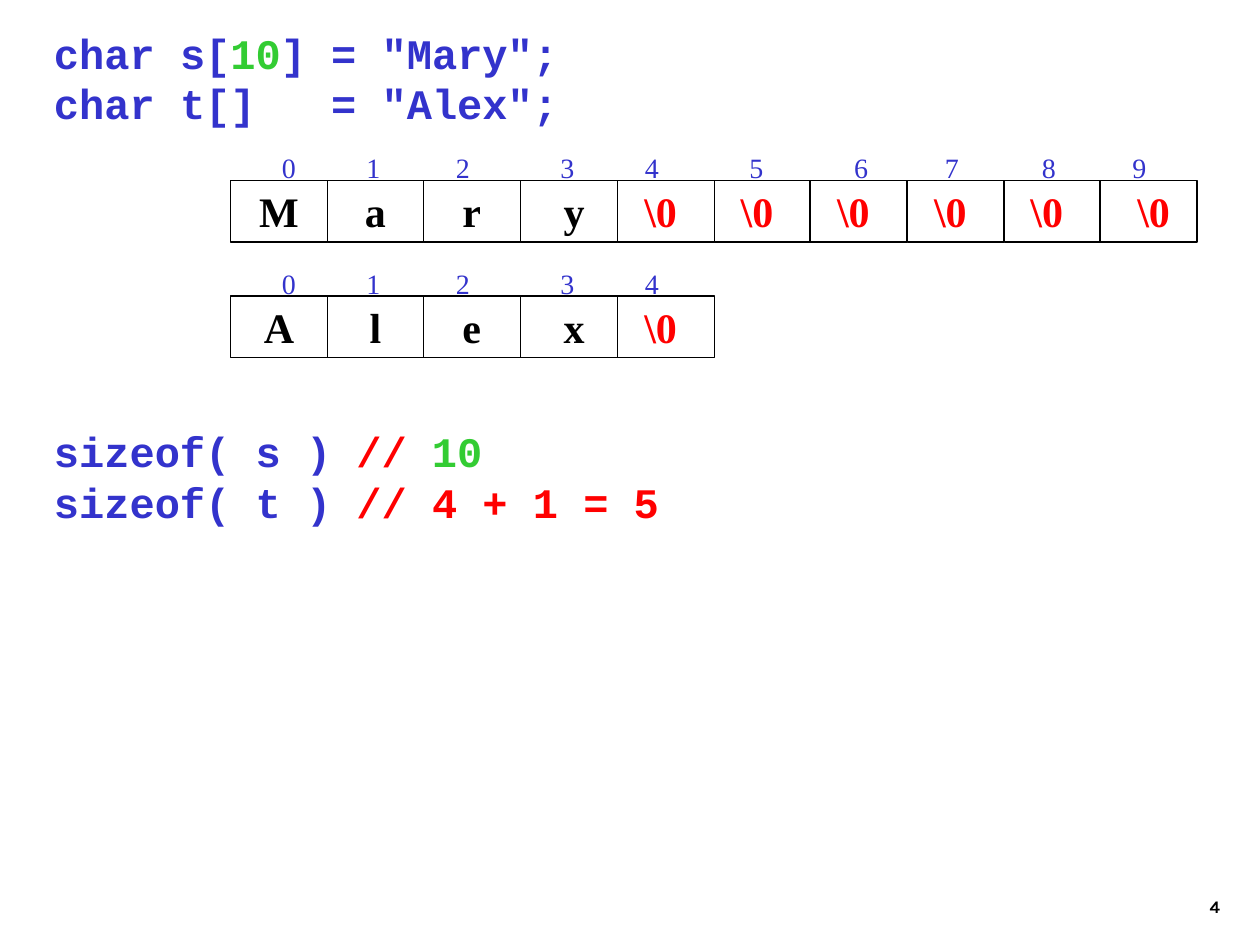
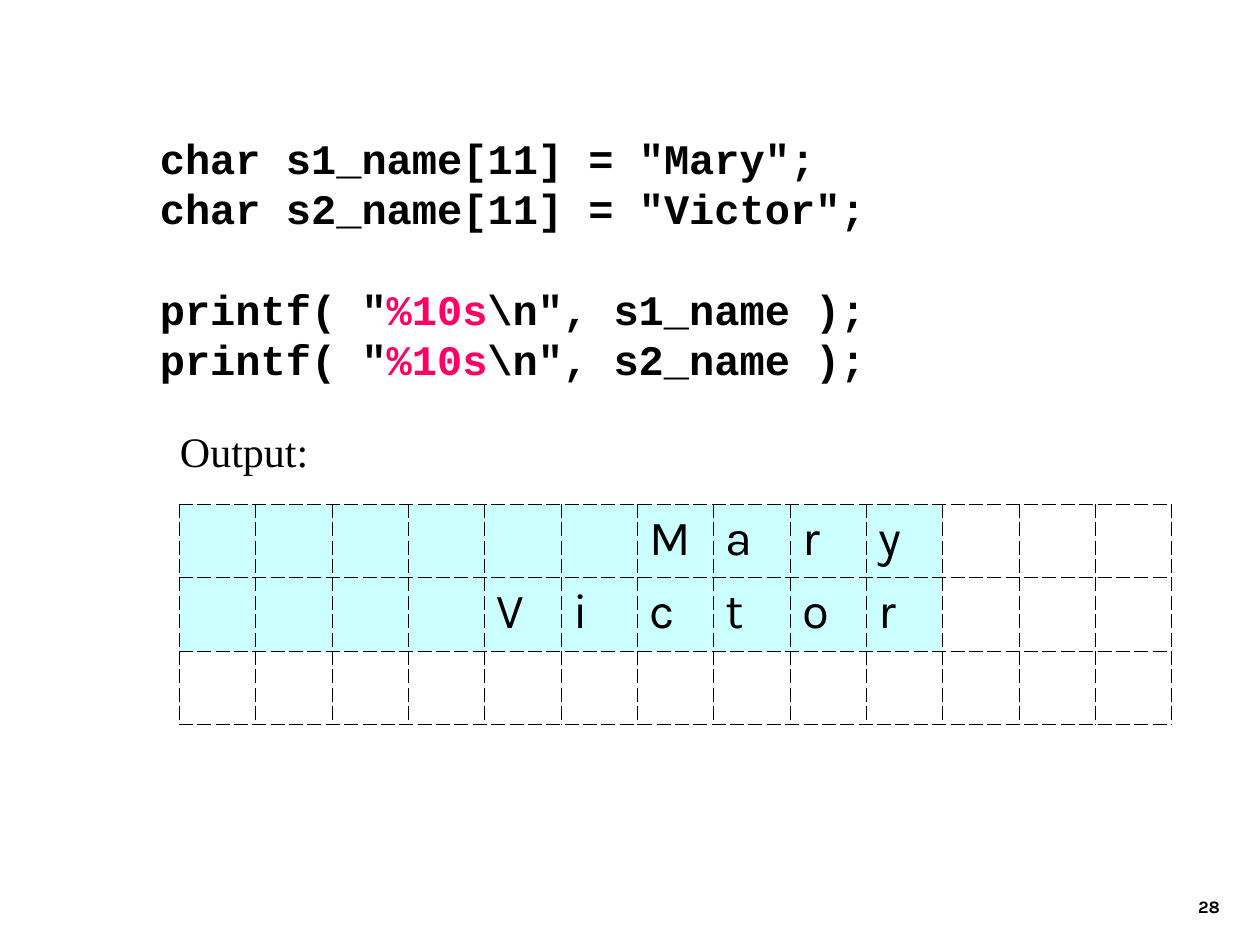
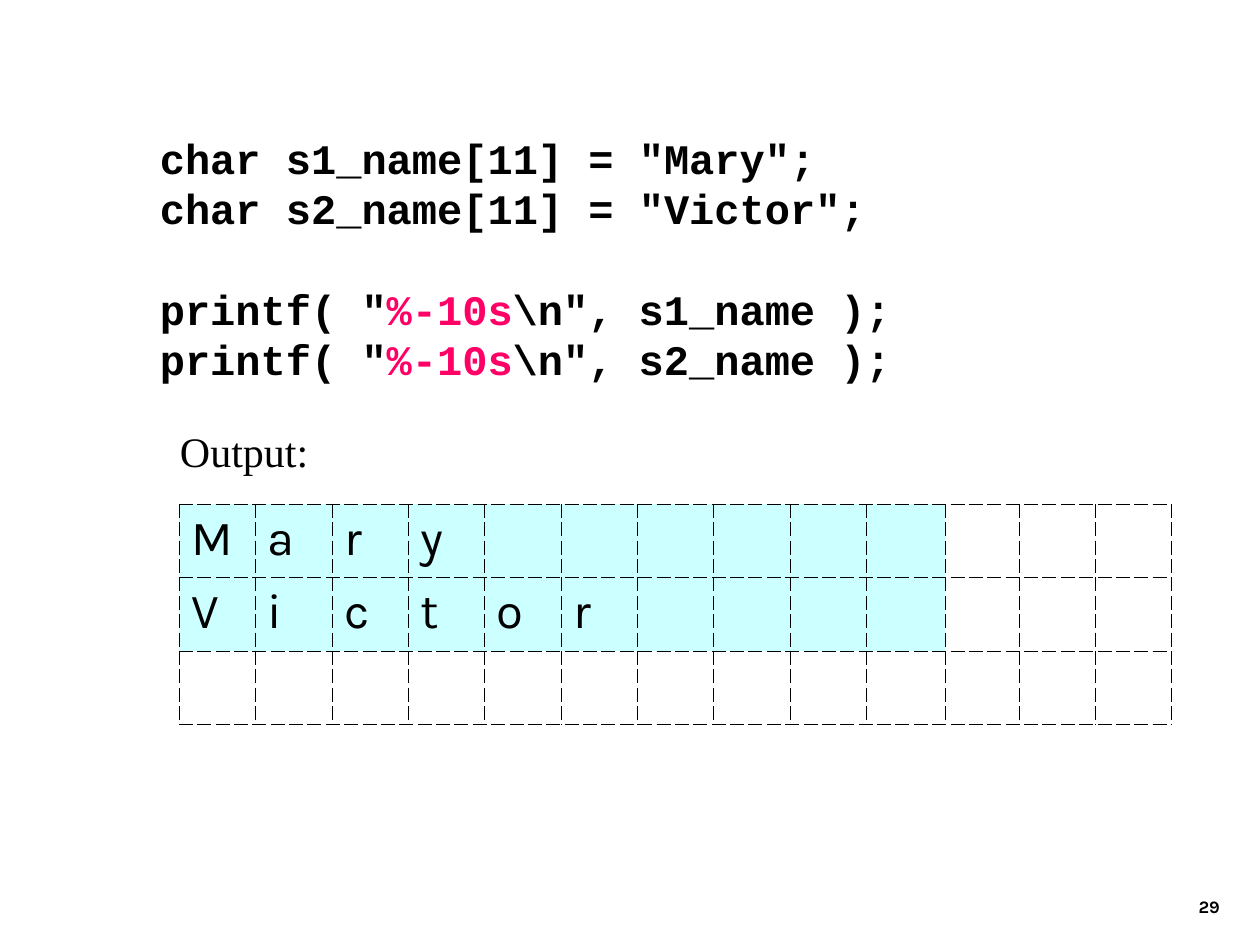
from dataclasses import dataclass

from lxml import etree
from pptx import Presentation
from pptx.dml.color import RGBColor
from pptx.enum.shapes import MSO_SHAPE
from pptx.enum.text import MSO_ANCHOR, MSO_AUTO_SIZE, PP_ALIGN
from pptx.oxml.ns import qn
from pptx.util import Pt

PX = 9144  # EMU in one px, 100 px to the inch

BLACK = RGBColor(0x00, 0x00, 0x00)
BLUE = RGBColor(0x33, 0x33, 0xCC)
GREEN = RGBColor(0x33, 0xCC, 0x33)
RED = RGBColor(0xFF, 0x00, 0x00)
PINK = RGBColor(0xFF, 0x00, 0x66)
CYAN = RGBColor(0xCC, 0xFF, 0xFF)

LEFT, CENTER, RIGHT = PP_ALIGN.LEFT, PP_ALIGN.CENTER, PP_ALIGN.RIGHT
TOP, MIDDLE, BOTTOM = MSO_ANCHOR.TOP, MSO_ANCHOR.MIDDLE, MSO_ANCHOR.BOTTOM
GROW, FIXED = MSO_AUTO_SIZE.SHAPE_TO_FIT_TEXT, MSO_AUTO_SIZE.NONE
RECTANGLE = MSO_SHAPE.RECTANGLE

CODE = {"name": "Courier New", "size": Pt(24), "bold": True}
LETTER = {"name": "Times New Roman", "size": Pt(24), "bold": True}
INDEX = {"name": "Times New Roman", "size": Pt(16), "bold": False}
LABEL = {"name": "Times New Roman", "size": Pt(24), "bold": False}
OUTPUT = {"name": "Karla", "size": Pt(28), "bold": False}
NUMBER = {"name": "Karla", "size": Pt(10), "bold": True}

CODE_LINE = 28.8
EQUALS_STOP = 220
INDEX_STOPS = (31, 98, 169, 252, 319, 402, 485, 557, 634, 706)
ARRAY_LEFT, ARRAY_WIDTH, ARRAY_SLOTS = 183, 767, 10
OUTPUT_COLUMNS, OUTPUT_ROWS, FIELD_WIDTH = 13, 3, 10


@dataclass(frozen=True)
class Area:
    left: int
    top: int
    width: int
    height: int

    def emu(self) -> tuple[int, int, int, int]:
        return self.left * PX, self.top * PX, self.width * PX, self.height * PX


@dataclass(frozen=True)
class Span:
    text: str
    color: RGBColor = BLACK


@dataclass(frozen=True)
class Para:
    spans: tuple[Span, ...]
    align: PP_ALIGN = LEFT
    space_before: float = 0
    stops: tuple[int, ...] = ()


@dataclass(frozen=True)
class CharArray:
    top: int
    letters: tuple[str, ...]


@dataclass(frozen=True)
class PrintfPage:
    number: str
    specifier: str
    rows: tuple[str, ...]
    field_edge_shift: int = 0


def set_values(target, values: dict) -> None:
    for name, value in values.items():
        setattr(target, name, value)


def write(frame, paras: list[Para], style: dict) -> None:
    for position, para in enumerate(paras):
        line = frame.add_paragraph() if position else frame.paragraphs[0]
        set_values(line, {"alignment": para.align, "space_before": Pt(para.space_before)})
        if para.stops:
            tabs = etree.SubElement(line._p.get_or_add_pPr(), qn("a:tabLst"))
            for stop in para.stops:
                etree.SubElement(tabs, qn("a:tab"), pos=str(stop * PX), algn="l")
        for span in para.spans:
            run = line.add_run()
            run.text = span.text
            set_values(run.font, style)
            run.font.color.rgb = span.color


def add_text(shapes, area: Area, paras: list[Para], style: dict,
             anchor: MSO_ANCHOR = TOP, auto_size: MSO_AUTO_SIZE = GROW) -> None:
    frame = shapes.add_textbox(*area.emu()).text_frame
    set_values(frame, {"word_wrap": True, "vertical_anchor": anchor, "auto_size": auto_size})
    write(frame, paras, style)


def add_page(deck, number: str):
    """Add a blank slide with its number in the lower right corner."""
    page = deck.slides.add_slide(deck.slide_layouts[6])
    add_text(page.shapes, Area(770, 683, 208, 50), [Para((Span(number),), RIGHT)],
             NUMBER, BOTTOM, FIXED)
    return page


def add_char_array(page, array: CharArray) -> None:
    """Draw a row of boxes with one character each, under their indexes."""
    shapes = page.shapes.add_group_shape().shapes
    count = len(array.letters)
    indexes = "".join(f"\t{index}" for index in range(count))
    add_text(shapes, Area(ARRAY_LEFT, array.top - 35, ARRAY_WIDTH, 49),
             [Para((Span(indexes, BLUE),), stops=INDEX_STOPS[:count])], INDEX, MIDDLE, FIXED)
    edges = [ARRAY_LEFT + round(slot * ARRAY_WIDTH / ARRAY_SLOTS) for slot in range(count + 1)]
    for left, right, letter in zip(edges, edges[1:], array.letters):
        box = shapes.add_shape(RECTANGLE, *Area(left, array.top, right - left, 49).emu())
        box.shadow.inherit = False
        box.fill.background()
        box.line.color.rgb = BLACK
        box.line.width = Pt(0.75)
        set_values(box.text_frame, {"word_wrap": False, "vertical_anchor": MIDDLE})
        color = RED if "\\0" in letter else BLACK
        write(box.text_frame, [Para((Span(letter, color),), CENTER)], LETTER)


def add_dashed_borders(cell) -> None:
    properties = cell._tc.get_or_add_tcPr()
    for side in ("lnL", "lnR", "lnT", "lnB"):
        line = etree.SubElement(properties, qn(f"a:{side}"), w=str(Pt(0.11)))
        fill = etree.SubElement(line, qn("a:solidFill"))
        etree.SubElement(fill, qn("a:srgbClr"), val=str(BLACK))
        etree.SubElement(line, qn("a:prstDash"), val="dash")


def add_output_grid(page, rows: tuple[str, ...], field_edge_shift: int) -> None:
    """Draw printed rows one character a cell, with the printed field shaded."""
    area = Area(142, 400, 788, 175)
    table = page.shapes.add_table(OUTPUT_ROWS, OUTPUT_COLUMNS, *area.emu()).table
    set_values(table, {"first_row": False, "horz_banding": False})
    for row in table.rows:
        row.height = area.height * PX // OUTPUT_ROWS
    for column in table.columns:
        column.width = area.width * PX // OUTPUT_COLUMNS
    table.columns[FIELD_WIDTH - 1].width += field_edge_shift * PX
    table.columns[FIELD_WIDTH].width -= field_edge_shift * PX
    for row in range(OUTPUT_ROWS):
        for column in range(OUTPUT_COLUMNS):
            cell = table.cell(row, column)
            add_dashed_borders(cell)
            if row >= len(rows) or column >= FIELD_WIDTH:
                cell.fill.background()
                continue
            cell.fill.solid()
            cell.fill.fore_color.rgb = CYAN
            letter = rows[row][column:column + 1].strip()
            if letter:
                write(cell.text_frame, [Para((Span(letter),), space_before=7)], OUTPUT)


def build_array_page(deck) -> None:
    page = add_page(deck, "4")
    add_text(page.shapes, Area(33, 333, 583, 90), [
        Para((Span("sizeof( s ) ", BLUE), Span("// ", RED), Span("10", GREEN))),
        Para((Span("sizeof( t ) ", BLUE), Span("// 4 + 1 = 5", RED))),
    ], CODE)
    add_char_array(page, CharArray(235, ("A", "l", "e", " x", "\\0 ")))
    add_text(page.shapes, Area(33, 17, 742, 90), [
        Para((Span("char s[", BLUE), Span("10", GREEN), Span('] = "Mary";', BLUE))),
        Para((Span('char t[]\t= "Alex";', BLUE),), stops=(EQUALS_STOP,)),
    ], CODE)
    add_char_array(page, CharArray(143, ("M", "a", "r", " y", *["\\0 "] * 5, " \\0")))


def build_printf_page(deck, content: PrintfPage) -> None:
    page = add_page(deck, content.number)
    declarations = [
        Para((Span(f'char {name}[11] = "{value}";'),))
        for name, value in (("s1_name", "Mary"), ("s2_name", "Victor"))
    ]
    calls = [
        Para((Span('printf( "'), Span(content.specifier, PINK), Span(f'\\n", {name} );')),
             space_before=gap)
        for name, gap in (("s1_name", CODE_LINE), ("s2_name", 0))
    ]
    add_text(page.shapes, Area(117, 100, 692, 210), declarations + calls, CODE)
    add_text(page.shapes, Area(133, 333, 350, 50),
             [Para((Span("Output:"),), space_before=15)], LABEL)
    add_output_grid(page, content.rows, content.field_edge_shift)


def main() -> None:
    deck = Presentation()
    set_values(deck, {"slide_width": 1000 * PX, "slide_height": 750 * PX})
    names = ("Mary", "Victor")
    build_array_page(deck)
    build_printf_page(deck, PrintfPage(
        "28", "%10s", tuple(name.rjust(FIELD_WIDTH) for name in names)))
    build_printf_page(deck, PrintfPage("29", "%-10s", names, field_edge_shift=2))
    deck.save("out.pptx")


if __name__ == "__main__":
    main()
